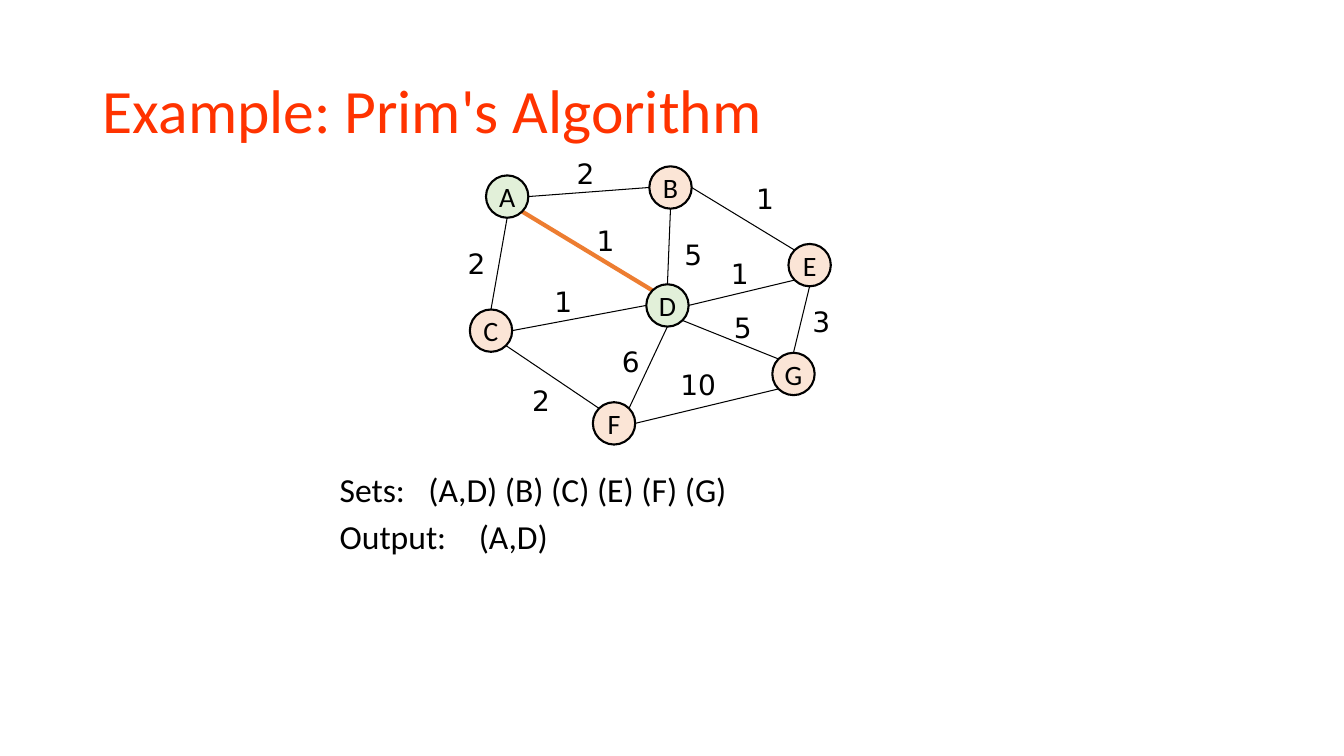
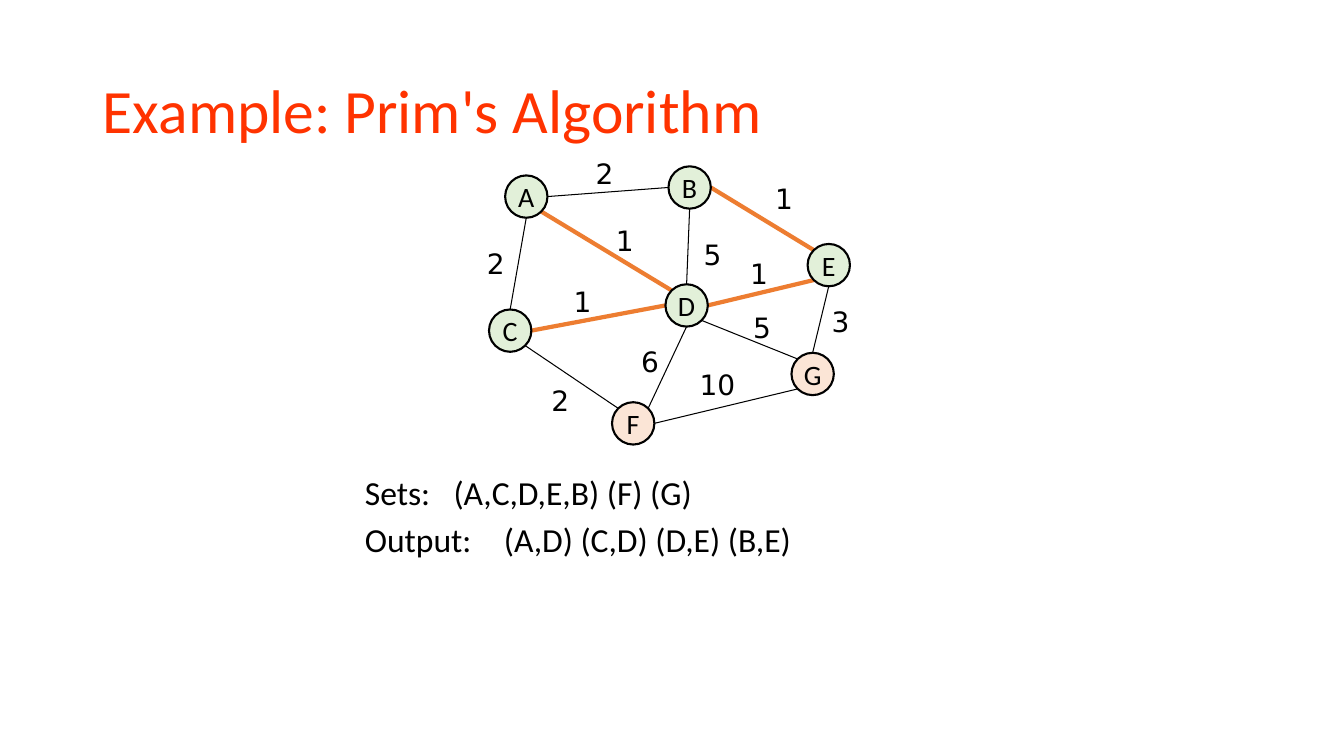
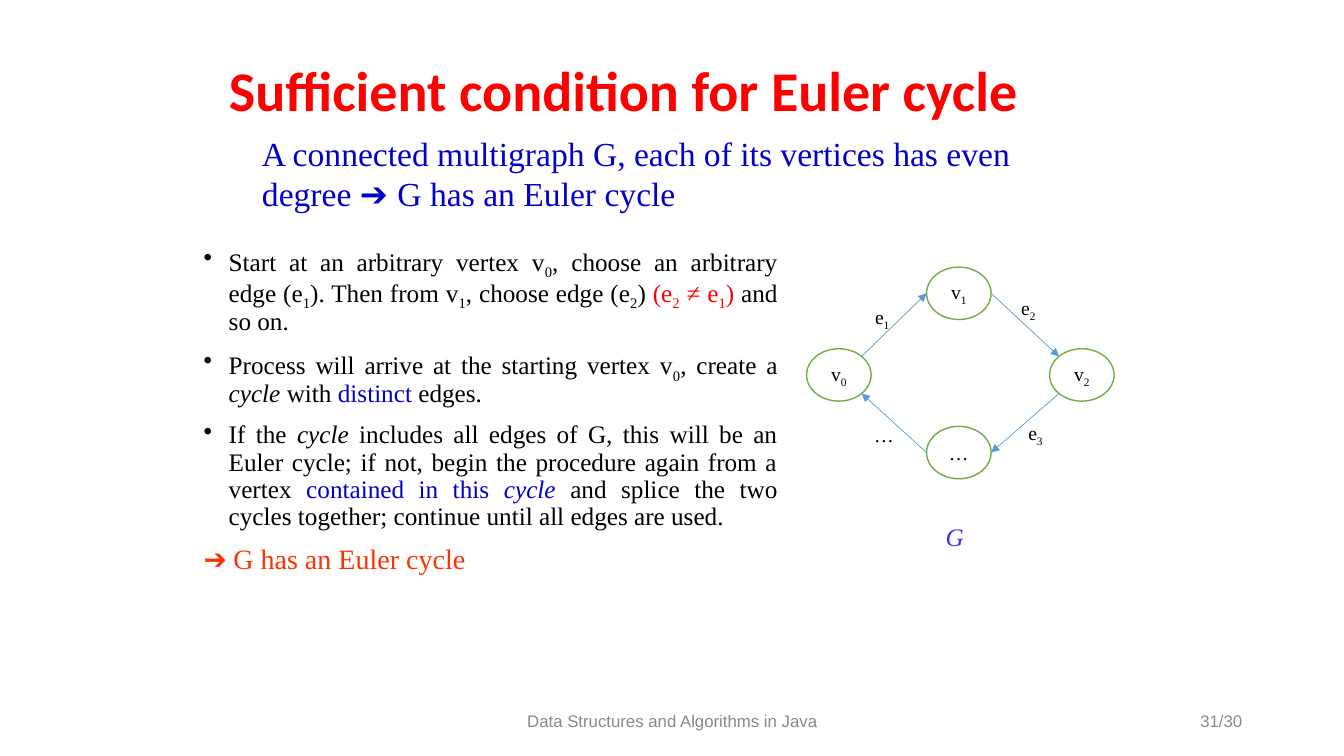
from math import cos, radians, sin

from lxml import etree
from pptx import Presentation
from pptx.dml.color import RGBColor
from pptx.enum.shapes import MSO_CONNECTOR, MSO_SHAPE
from pptx.enum.text import MSO_ANCHOR, MSO_AUTO_SIZE, PP_ALIGN
from pptx.oxml.ns import qn
from pptx.util import Inches, Pt

LEFT, CENTER, RIGHT, JUSTIFY = PP_ALIGN.LEFT, PP_ALIGN.CENTER, PP_ALIGN.RIGHT, PP_ALIGN.JUSTIFY
MIDDLE, TOP = MSO_ANCHOR.MIDDLE, MSO_ANCHOR.TOP
GROW, FIXED = MSO_AUTO_SIZE.SHAPE_TO_FIT_TEXT, MSO_AUTO_SIZE.NONE
ELLIPSE, STRAIGHT = MSO_SHAPE.OVAL, MSO_CONNECTOR.STRAIGHT

BLACK, WHITE, GRAY = "000000", "FFFFFF", "898989"
ORANGE_RED, RED, NAVY, VIOLET = "FF3300", "FF0000", "0000CC", "3333FF"
GREEN, BLUE, ORANGE = "70AD47", "5B9BD5", "ED7D31"
VISITED, UNVISITED = "E2F0D9", "FBE5D6"

SANS = {"name": "Calibri", "size": 24}
SERIF = {"name": "Times New Roman", "size": 18}
SMALL_SERIF = {**SERIF, "size": 14}
NODE_TEXT = {"name": "Calibri", "size": 20}
WEIGHT_TEXT = {"name": "DejaVu Sans", "size": 20}
FOOTER_TEXT = {"name": "Arial", "size": 12, "color": GRAY}

SITE_ANGLES = {"r": 0, "br": 45, "b": 90, "bl": 135, "l": 180, "tl": 225, "t": 270, "tr": 315}

PRIM_NODE_SIZE = (0.42, 0.42)
PRIM_NODES = {
    "A": (4.82, 1.74), "B": (6.44, 1.65), "C": (4.66, 3.07), "D": (6.41, 2.82),
    "E": (7.82, 2.42), "F": (5.88, 3.99), "G": (7.66, 3.5),
}
PRIM_EDGES = [
    ("A", "b", "C", "t", "2", (4.54, 2.4)),
    ("A", "r", "B", "l", "2", (5.62, 1.5)),
    ("B", "b", "D", "t", "5", (6.69, 2.31)),
    ("A", "br", "D", "tl", "1", (5.82, 2.17)),
    ("C", "r", "D", "l", "1", (5.4, 2.77)),
    ("D", "r", "E", "bl", "1", (7.15, 2.5)),
    ("B", "r", "E", "tl", "1", (7.4, 1.75)),
    ("C", "br", "F", "tl", "2", (5.18, 3.76)),
    ("D", "b", "F", "tr", "6", (6.07, 3.37)),
    ("D", "br", "G", "tl", "5", (7.18, 3.03)),
    ("E", "b", "G", "t", "3", (7.96, 2.97)),
    ("F", "r", "G", "bl", "10", (6.65, 3.6)),
]

EULER_NODE_SIZE = (0.64, 0.52)
EULER_NODES = {"v~0": (8, 3.46), "v~1": (9.19, 2.65), "v~2": (10.41, 3.46), "…": (9.19, 4.23)}
EULER_EDGES = [
    ("v~0", "tr", "v~1", "l", "e~1", (8.58, 2.98)),
    ("v~1", "r", "v~2", "tl", "e~2", (10.03, 2.89)),
    ("v~2", "bl", "…", "r", "e~3", (10.1, 4.13)),
    ("…", "l", "v~0", "br", "…", (8.57, 4.15)),
]
EULER_STEPS = [
    [("Start at an arbitrary vertex v~0~, choose an arbitrary edge (e~1~). "
      "Then from v~1~, choose edge (e~2~) ", {}),
     ("(e~2~ ≠ e~1~) ", {"color": RED}), ("and so on.", {})],
    [("Process will arrive at the starting vertex v~0~, create a ", {}),
     ("cycle", {"italic": True}), (" with ", {}), ("distinct", {"color": NAVY}), (" edges.", {})],
    [("If the ", {}), ("cycle", {"italic": True}),
     (" includes all edges of G, this will be an Euler cycle; if not, "
      "begin the procedure again from a vertex ", {}),
     ("contained in this ", {"color": NAVY}), ("cycle ", {"color": NAVY, "italic": True}),
     ("and splice the two cycles together; continue until all edges are used.", {})],
]


def color(value):
    """Turn a hex string into a colour."""
    return RGBColor.from_string(value)


def apply(target, values):
    """Set every named attribute on the target."""
    for name, value in values.items():
        setattr(target, name, value)


def add_spans(para, text, style):
    """Add text to a paragraph, lowering the parts set off by tildes."""
    font_values = {"color": BLACK, **style}
    hue = font_values.pop("color")
    font_values["size"] = Pt(font_values["size"])
    for index, part in enumerate(text.split("~")):
        if part:
            span = para.add_run()
            span.text = part
            apply(span.font, font_values)
            span.font.color.rgb = color(hue)
            if index % 2:
                span.font._element.set("baseline", "-25000")


def set_indent(para, width, bullet=None, tab=None):
    """Give a paragraph a hanging indent with an optional bullet and tab stop."""
    properties = para._p.get_or_add_pPr()
    properties.set("marL", str(Inches(width)))
    properties.set("indent", str(-Inches(width)))
    if bullet:
        etree.SubElement(properties, qn("a:buChar")).set("char", bullet)
    if tab:
        stops = etree.SubElement(properties, qn("a:tabLst"))
        stop = etree.SubElement(stops, qn("a:tab"))
        stop.set("pos", str(Inches(tab)))
        stop.set("algn", "l")


def add_text(page, frame, spans, style, align=LEFT, **frame_values):
    """Add a text box with one paragraph made of styled spans."""
    box = page.shapes.add_textbox(*map(Inches, frame))
    apply(box.text_frame, {"word_wrap": True, "auto_size": GROW, "vertical_anchor": TOP, **frame_values})
    para = box.text_frame.paragraphs[0]
    para.alignment = align
    for text, changes in spans:
        add_spans(para, text, {**style, **changes})
    return box


def add_title(page, text, frame, style):
    """Place and format the title placeholder."""
    title = page.shapes.title
    apply(title, dict(zip(("left", "top", "width", "height"), map(Inches, frame))))
    apply(title.text_frame, {"word_wrap": True, "auto_size": FIXED, "vertical_anchor": MIDDLE})
    para = title.text_frame.paragraphs[0]
    apply(para, {"alignment": LEFT, "line_spacing": 0.9})
    add_spans(para, text, {"name": "Calibri", **style})


def add_node(page, corner, size, label, style, fill, line, weight):
    """Add a labelled ellipse."""
    node = page.shapes.add_shape(ELLIPSE, *map(Inches, corner + size))
    node.shadow.inherit = False
    node.fill.solid()
    node.fill.fore_color.rgb = color(fill)
    node.line.color.rgb = color(line)
    node.line.width = Pt(weight)
    apply(node.text_frame, {"word_wrap": False, "vertical_anchor": MIDDLE})
    para = node.text_frame.paragraphs[0]
    para.alignment = CENTER
    add_spans(para, label, style)


def site_point(corner, size, site):
    """Find a connection site on an ellipse."""
    angle = radians(SITE_ANGLES[site])
    left, top = corner
    width, height = size
    return left + width / 2 * (1 + cos(angle)), top + height / 2 * (1 + sin(angle))


def add_edge(page, start, end, line, weight, arrow=False):
    """Add a straight line, with an arrowhead at its end if asked."""
    edge = page.shapes.add_connector(STRAIGHT, *map(Inches, start + end))
    edge.line.color.rgb = color(line)
    edge.line.width = Pt(weight)
    properties = edge._element.spPr
    if arrow:
        etree.SubElement(properties.find(qn("a:ln")), qn("a:tailEnd")).set("type", "triangle")
    etree.SubElement(properties, qn("a:effectLst"))


def add_prim_page(deck, shift, visited, chosen, result_corner, results):
    """Add one step of Prim's algorithm."""
    page = deck.slides.add_slide(deck.slide_layouts[5])
    add_title(page, "Example: Prim's Algorithm", (0.92, 0.4, 11.5, 1.45),
              {"size": 44, "color": ORANGE_RED})
    nodes = {name: (left + shift, top) for name, (left, top) in PRIM_NODES.items()}
    for start, start_site, end, end_site, weight, (left, top) in PRIM_EDGES:
        line, width = (ORANGE, 3) if start + end in chosen else (BLACK, 0.75)
        add_edge(page, site_point(nodes[start], PRIM_NODE_SIZE, start_site),
                 site_point(nodes[end], PRIM_NODE_SIZE, end_site), line, width)
        add_text(page, (left + shift, top, 0.2 + 0.18 * len(weight), 0.44),
                 [(weight, {})], WEIGHT_TEXT, word_wrap=False)
    for name, corner in nodes.items():
        fill = VISITED if name in visited else UNVISITED
        add_node(page, corner, PRIM_NODE_SIZE, name, NODE_TEXT, fill, BLACK, 1.5)
    box = add_text(page, result_corner + (7.75, 0.99), [("Sets:\t" + results[0], {})], SANS)
    output = box.text_frame.add_paragraph()
    add_spans(output, "Output:\t" + results[1], SANS)
    for para in box.text_frame.paragraphs:
        set_indent(para, 0.38, tab=1.44)
    output.space_before = Pt(4.8)


def add_euler_steps(page):
    """Add the bulleted argument and its conclusion."""
    box = add_text(page, (1.92, 2.4, 5.89, 4.38), EULER_STEPS[0], SERIF)
    frame = box.text_frame
    for step in EULER_STEPS[1:]:
        para = frame.add_paragraph()
        for text, changes in step:
            add_spans(para, text, {**SERIF, **changes})
    for para in frame.paragraphs:
        set_indent(para, 0.25, bullet="•")
        para.alignment = JUSTIFY
    conclusion = frame.add_paragraph()
    add_spans(conclusion, "➔ ", {"name": "Calibri", "size": 20, "color": ORANGE_RED})
    add_spans(conclusion, "G has an Euler cycle", {**SERIF, "size": 20, "color": ORANGE_RED})
    for index, para in enumerate(frame.paragraphs):
        apply(para, {"line_spacing": 0.9, "space_before": Pt(10 if index else 0)})


def add_euler_graph(page):
    """Add the directed cycle and its caption."""
    for start, start_site, end, end_site, label, corner in EULER_EDGES:
        add_edge(page, site_point(EULER_NODES[start], EULER_NODE_SIZE, start_site),
                 site_point(EULER_NODES[end], EULER_NODE_SIZE, end_site), BLUE, 0.5, arrow=True)
        add_text(page, corner + (0.38, 0.34), [(label, {})], SMALL_SERIF)
    for label, corner in EULER_NODES.items():
        add_node(page, corner, EULER_NODE_SIZE, label, SMALL_SERIF, WHITE, GREEN, 1)
    add_text(page, (9.28, 5.12, 0.5, 0.4), [("G", {})], {**SERIF, "color": VIOLET, "italic": True})


def add_euler_page(deck):
    """Add the slide on Euler cycles."""
    page = deck.slides.add_slide(deck.slide_layouts[5])
    add_title(page, "Sufficient condition for Euler cycle", (2.17, 0.57, 9, 0.71),
              {"size": 40, "color": RED, "bold": True})
    statement = [("A connected multigraph G, each of its vertices has even degree ", {}),
                 ("➔ ", {"name": "Arial"}), ("G has an Euler cycle", {})]
    add_text(page, (2.5, 1.27, 8.17, 1.31), statement, {**SERIF, "size": 24, "color": NAVY})
    add_euler_steps(page)
    add_euler_graph(page)
    for text, frame, align in (("Data Structures and Algorithms in Java", (4.42, 6.95, 4.5, 0.4), CENTER),
                               ("31/30", (9.42, 6.95, 3, 0.4), RIGHT)):
        add_text(page, frame, [(text, {})], FOOTER_TEXT, align, auto_size=FIXED, vertical_anchor=MIDDLE)


def main():
    """Build and save the deck."""
    deck = Presentation()
    deck.slide_width, deck.slide_height = Inches(13.33), Inches(7.5)
    add_prim_page(deck, 0, "AD", {"AD"}, (3.27, 4.6),
                  ("(A,D) (B) (C) (E) (F) (G)", "(A,D)"))
    add_prim_page(deck, 0.19, "ABCDE", {"AD", "CD", "DE", "BE"}, (3.52, 4.63),
                  ("(A,C,D,E,B) (F) (G)", "(A,D) (C,D) (D,E) (B,E)"))
    add_euler_page(deck)
    deck.save("out.pptx")


if __name__ == "__main__":
    main()
